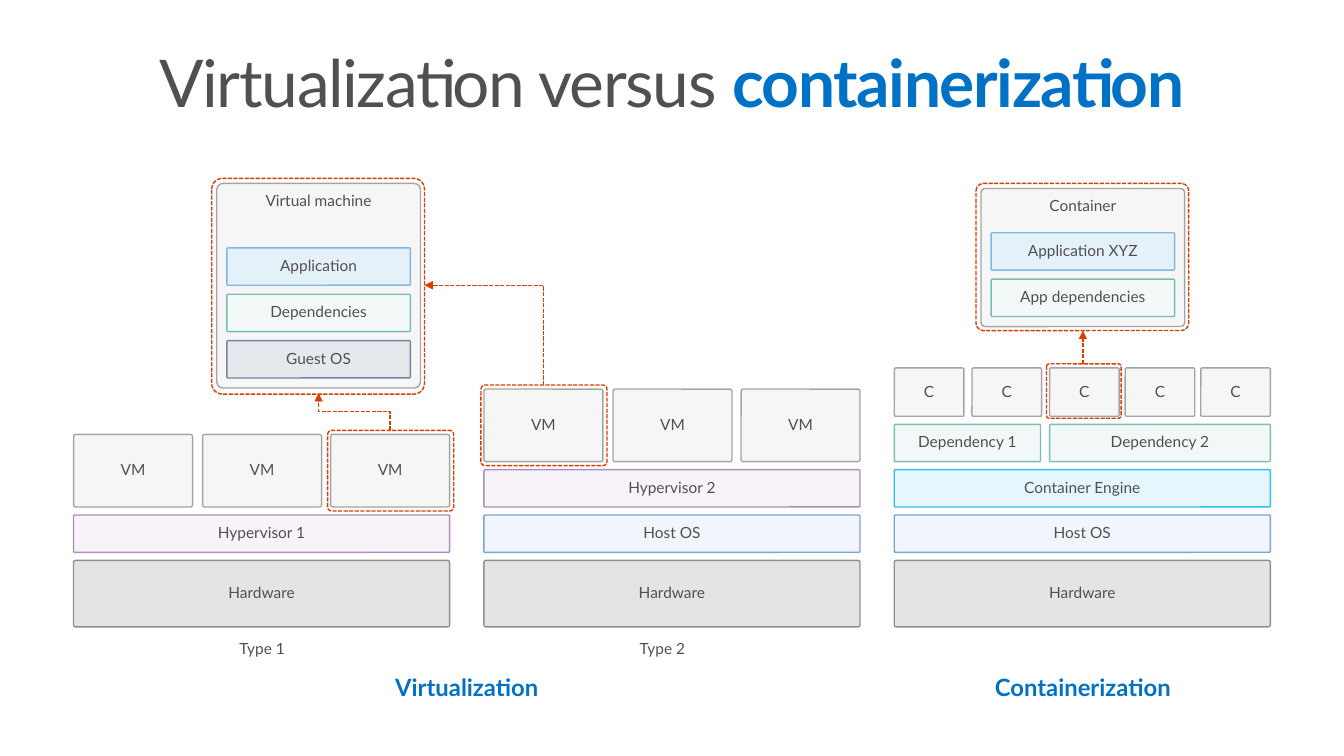
from lxml.etree import SubElement
from pptx import Presentation
from pptx.dml.color import RGBColor
from pptx.enum.dml import MSO_LINE
from pptx.enum.shapes import MSO_CONNECTOR, MSO_SHAPE
from pptx.enum.text import MSO_ANCHOR, PP_ALIGN
from pptx.oxml.ns import qn
from pptx.util import Inches, Pt

GRAY = RGBColor(0x50, 0x50, 0x50)
BLUE = RGBColor(0x00, 0x72, 0xC6)
ORANGE = RGBColor(0xDC, 0x3C, 0x00)
PURPLE = RGBColor(0x68, 0x21, 0x7A)
NAVY = RGBColor(0x00, 0x4B, 0xBC)
TEAL = RGBColor(0x00, 0x82, 0x72)
CYAN = RGBColor(0x00, 0xB0, 0xF0)

STYLES = {
    "hardware": (GRAY, 15, GRAY, 60),
    "unit": (GRAY, 5, GRAY, 50),
    "hypervisor": (PURPLE, 5, PURPLE, 50),
    "host": (NAVY, 5, NAVY, 50),
    "engine": (CYAN, 10, CYAN, 80),
    "dependency": (TEAL, 5, TEAL, 50),
    "guest": (RGBColor(0xE5, 0xE8, 0xED), 100, RGBColor(0x72, 0x84, 0x9E), 100),
    "library": (RGBColor(0xF2, 0xF9, 0xF8), 100, RGBColor(0x79, 0xBE, 0xB5), 100),
    "app": (RGBColor(0xE5, 0xF1, 0xF9), 100, RGBColor(0x7F, 0xB8, 0xE2), 100),
}

STACK_W, STACK_BOTTOM, STACK_GAP = 3.73, 6.22, 0.08
STACK_LEFT, STACK_PITCH = 0.73, 4.07
HARDWARE = ("hardware", 0.66, [("Hardware", 0, STACK_W)])
HOST = ("host", 0.37, [("Host OS", 0, STACK_W)])
VMS = ("unit", 0.72, [("VM", x, 1.18) for x in (0, 1.28, 2.55)])
CONTAINERS = ("unit", 0.48, [("C", x, 0.69) for x in (0, 0.77, 1.54, 2.29, 3.04)])
STACKS = [
    [HARDWARE, ("hypervisor", 0.37, [("Hypervisor 1", 0, STACK_W)]), VMS],
    [HARDWARE, HOST, ("hypervisor", 0.37, [("Hypervisor 2", 0, STACK_W)]), VMS],
    [HARDWARE, HOST, ("engine", 0.37, [("Container Engine", 0, STACK_W)]),
     ("dependency", 0.37, [("Dependency 1", 0, 1.45), ("Dependency 2", 1.54, 2.19)]),
     CONTAINERS],
]

PANEL_W, PANEL_PAD, PANEL_GAP = 2.02, 0.1, 0.09
PANELS = [
    ("Virtual machine", 2.15, 1.82, 2.03,
     [("guest", "Guest OS"), ("library", "Dependencies"), ("app", "Application")]),
    ("Container", 9.73, 1.87, 1.37,
     [("library", "App dependencies"), ("app", "Application XYZ")]),
]

HIGHLIGHTS = [
    (2.1, 1.77, 2.11, 2.14), (3.25, 4.27, 1.25, 0.8), (4.77, 3.82, 1.25, 0.8),
    (9.68, 1.82, 2.11, 1.46), (10.38, 3.61, 0.74, 0.54),
]
ELBOWS = [
    [(3.87, 4.27), (3.87, 4.08), (3.16, 4.08), (3.16, 3.9)],
    [(5.39, 3.82), (5.39, 2.83), (4.21, 2.83)],
]
CONTAINER_ARROW = (10.74, 3.61, 10.74, 3.28)

BODY = {"size": Pt(11), "name": "Lato", "bold": False}
HEADING = {"size": Pt(17), "name": "Lato", "bold": True}
TITLE = {"size": Pt(47), "name": "Lato", "bold": False}
LABELS = [
    ([("Virtualization versus ", GRAY, TITLE),
      ("containerization", BLUE, {**TITLE, "bold": True})], (0.29, 0.5, 12.75, 0.77), 0.9),
    ([("Type 1", GRAY, BODY)], (1.64, 6.34, 1.92, 0.2), 1),
    ([("Type 2", GRAY, BODY)], (5.61, 6.34, 1.92, 0.2), 1),
    ([("Virtualization", BLUE, HEADING)], (2.69, 6.67, 3.88, 0.3), 1),
    ([("Containerization", BLUE, HEADING)], (8.8, 6.67, 3.88, 0.3), 1),
]

prs = Presentation()
prs.slide_width, prs.slide_height = Inches(13.33), Inches(7.5)
slide = prs.slides.add_slide(prs.slide_layouts[6])


def write(s, runs, anchor=MSO_ANCHOR.MIDDLE, top=0, spacing=0.9):
    tf = s.text_frame
    frame = {"word_wrap": True, "vertical_anchor": anchor, "margin_left": 0,
             "margin_right": 0, "margin_top": Inches(top), "margin_bottom": 0}
    for name, value in frame.items():
        setattr(tf, name, value)
    p = tf.paragraphs[0]
    p.alignment, p.line_spacing = PP_ALIGN.CENTER, spacing
    for text, color, font in runs:
        r = p.add_run()
        r.text = text
        for name, value in font.items():
            setattr(r.font, name, value)
        r.font.color.rgb = color
        if font["size"] == TITLE["size"]:
            r.font._element.set("spc", "-100")


def paint(fill, color, opacity):
    fill.solid()
    fill.fore_color.rgb = color
    if opacity < 100:
        clr = fill._xPr.find(qn("a:solidFill"))[0]
        SubElement(clr, qn("a:alpha")).set("val", str(opacity * 1000))


def dash(s, arrow=False):
    s.line.width = Pt(1)
    paint(s.line.fill, ORANGE, 100)
    s.line.dash_style = MSO_LINE.SQUARE_DOT
    if arrow:
        SubElement(s.line._get_or_add_ln(), qn("a:tailEnd")).set("type", "triangle")


def rounded(rect, radius):
    s = slide.shapes.add_shape(MSO_SHAPE.ROUNDED_RECTANGLE, *map(Inches, rect))
    s.adjustments[0] = radius
    s.shadow.inherit = False
    return s


def block(text, style, rect, **layout):
    s = rounded(rect, 0.03)
    fill, fill_opacity, line, line_opacity = STYLES[style]
    paint(s.fill, fill, fill_opacity)
    s.line.width = Pt(1)
    paint(s.line.fill, line, line_opacity)
    write(s, [(text, GRAY, BODY)], **layout)


def stack(rows, left, bottom, gap):
    for style, height, cells in rows:
        for text, offset, width in cells:
            block(text, style, (left + offset, bottom - height, width, height))
        bottom -= height + gap


for i, rows in enumerate(STACKS):
    stack(rows, STACK_LEFT + i * STACK_PITCH, STACK_BOTTOM, STACK_GAP)

for title, left, top, height, layers in PANELS:
    block(title, "unit", (left, top, PANEL_W, height), anchor=MSO_ANCHOR.TOP, top=0.08)
    rows = [(style, 0.37, [(text, 0, PANEL_W - 2 * PANEL_PAD)]) for style, text in layers]
    stack(rows, left + PANEL_PAD, top + height - PANEL_PAD, PANEL_GAP)

for rect in HIGHLIGHTS:
    s = rounded(rect, 0.05)
    s.fill.background()
    dash(s)

for points in ELBOWS:
    start, *rest = [(Inches(x), Inches(y)) for x, y in points]
    builder = slide.shapes.build_freeform(*start)
    builder.add_line_segments(rest, close=False)
    s = builder.convert_to_shape()
    s.shadow.inherit = False
    s.fill.background()
    dash(s, arrow=True)

s = slide.shapes.add_connector(MSO_CONNECTOR.STRAIGHT, *map(Inches, CONTAINER_ARROW))
dash(s, arrow=True)
SubElement(s._element.spPr, qn("a:effectLst"))

for runs, rect, spacing in LABELS:
    s = slide.shapes.add_textbox(*map(Inches, rect))
    write(s, runs, anchor=MSO_ANCHOR.TOP, spacing=spacing)

prs.save("out.pptx")
